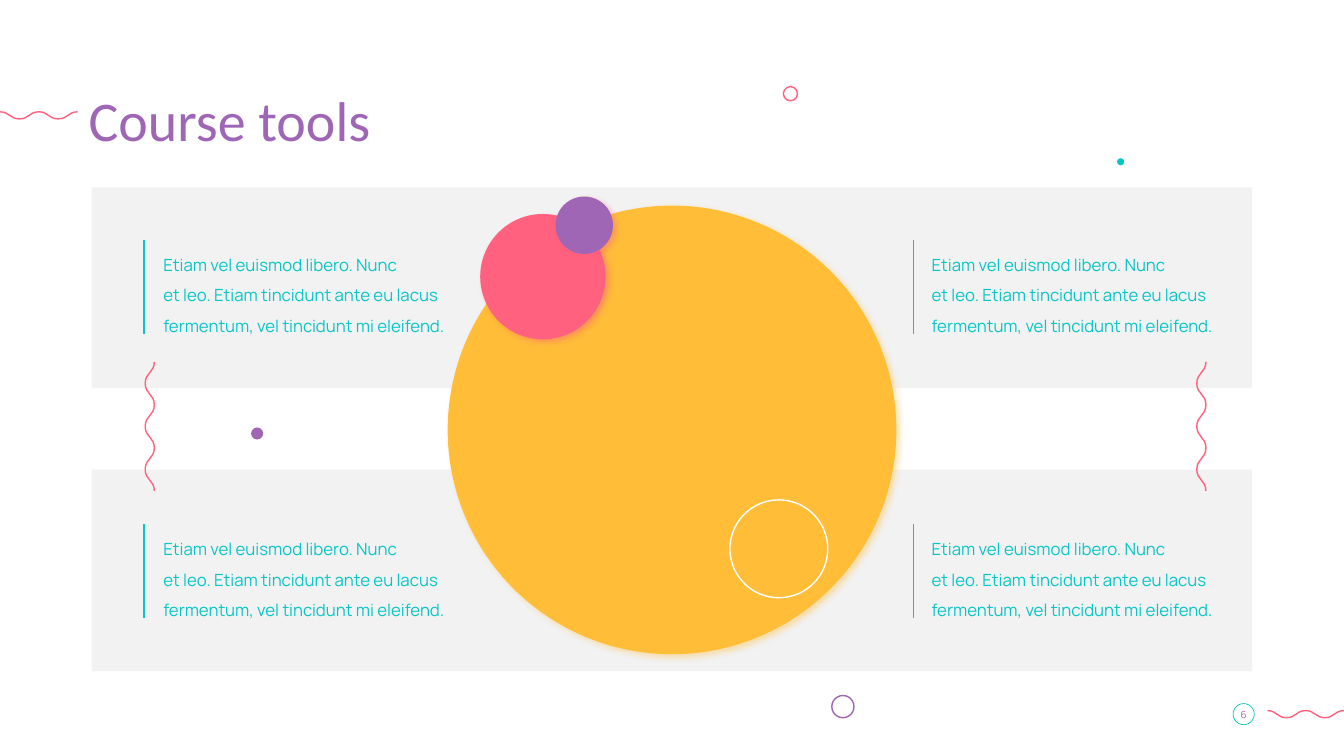
from lxml.etree import SubElement
from pptx import Presentation
from pptx.dml.color import RGBColor
from pptx.enum.shapes import MSO_CONNECTOR, MSO_SHAPE
from pptx.enum.text import MSO_ANCHOR, MSO_AUTO_SIZE, PP_ALIGN
from pptx.oxml.ns import qn
from pptx.util import Inches, Pt

TEAL, PINK, PURPLE = "07C6C7", "FF617F", "9E66B5"
AMBER, GREY, WHITE = "FFBD38", "F2F2F2", "FFFFFF"
BODY = ("Etiam vel euismod libero. Nunc \n"
        "et leo. Etiam tincidunt ante eu lacus "
        "fermentum, vel tincidunt mi eleifend.")


def rgb(code):
    return RGBColor.from_string(code)


def paint(shape, fill=None, line=None, width=1):
    shape.shadow.inherit = False
    if fill:
        shape.fill.solid()
        shape.fill.fore_color.rgb = rgb(fill)
    else:
        shape.fill.background()
    if line:
        shape.line.color.rgb = rgb(line)
        shape.line.width = Pt(width)
    else:
        shape.line.fill.background()


def add_glow(shape, color):
    """Add a soft shadow falling to the lower right."""
    effects = shape._element.spPr.find(qn("a:effectLst"))
    shadow = SubElement(effects, qn("a:outerShdw"), blurRad=str(Pt(4)),
                        dist=str(Pt(3)), dir=str(45 * 60000),
                        algn="tl", rotWithShape="0")
    tint = SubElement(shadow, qn("a:srgbClr"), val=color)
    SubElement(tint, qn("a:alpha"), val="40000")


def add_circle(slide, x, y, size, fill=None, line=None, width=1, glow=None):
    circle = slide.shapes.add_shape(MSO_SHAPE.OVAL, Inches(x), Inches(y),
                                    Inches(size), Inches(size))
    paint(circle, fill, line, width)
    if glow:
        add_glow(circle, glow)


def add_band(slide, x, y, w, h):
    band = slide.shapes.add_shape(MSO_SHAPE.RECTANGLE, Inches(x), Inches(y),
                                  Inches(w), Inches(h))
    paint(band, GREY)


def bend(shape, upright):
    """Turn each straight segment into an S-curve along the wave's run."""
    path = next(shape._element.iter(qn("a:path")))
    start = None
    for step in path:
        end = step[0]
        x, y = int(end.get("x")), int(end.get("y"))
        if start:
            x0, y0 = start
            midx, midy = (x0 + x) // 2, (y0 + y) // 2
            if upright:
                grips = (x0, midy), (x, midy)
            else:
                grips = (midx, y0), (midx, y)
            step.tag = qn("a:cubicBezTo")
            for i, (gx, gy) in enumerate(grips):
                grip = SubElement(step, qn("a:pt"), x=str(gx), y=str(gy))
                step.insert(i, grip)
        start = x, y


def add_wave(slide, x, y, length, depth, halves, upright=False):
    """Draw a wavy line from x, y; a negative depth swings left or up."""
    points = []
    for i in range(halves + 1):
        along, swing = length * i / halves, depth * (i % 2)
        dx, dy = (swing, along) if upright else (along, swing)
        points.append((Inches(x + dx), Inches(y + dy)))
    builder = slide.shapes.build_freeform(*points[0])
    builder.add_line_segments(points[1:], close=False)
    wave = builder.convert_to_shape()
    bend(wave, upright)
    paint(wave, line=PINK)


def add_rule(slide, x, y, height):
    rule = slide.shapes.add_connector(MSO_CONNECTOR.STRAIGHT, Inches(x),
                                      Inches(y), Inches(x), Inches(y + height))
    rule.line.color.rgb = rgb(TEAL)
    rule.line.width = Pt(1)
    SubElement(rule._element.spPr, qn("a:effectLst"))


def add_text(slide, text, x, y, w, h, size, color, font="Manrope",
             spacing=1.0, right=0.1, align=PP_ALIGN.LEFT,
             anchor=MSO_ANCHOR.TOP):
    box = slide.shapes.add_textbox(Inches(x), Inches(y), Inches(w), Inches(h))
    frame = box.text_frame
    frame.word_wrap = True
    frame.auto_size = MSO_AUTO_SIZE.SHAPE_TO_FIT_TEXT
    frame.vertical_anchor = anchor
    frame.margin_left, frame.margin_right = Inches(0), Inches(right)
    para = frame.paragraphs[0]
    para.text = text
    para.alignment = align
    para.line_spacing = spacing
    para.font.name = font
    para.font.size = Pt(size)
    para.font.color.rgb = rgb(color)


def add_footer(slide):
    add_circle(slide, 12.23, 6.98, 0.21, line=TEAL, width=0.5)
    add_wave(slide, 12.57, 7.05, 0.76, 0.07, 4)
    add_text(slide, "6", 12.15, 6.98, 0.37, 0.22, 7, PURPLE, right=0,
             align=PP_ALIGN.CENTER, anchor=MSO_ANCHOR.BOTTOM)


def main():
    deck = Presentation()
    deck.slide_width, deck.slide_height = Inches(13.33), Inches(7.5)
    slide = deck.slides.add_slide(deck.slide_layouts[6])

    add_footer(slide)
    add_wave(slide, 0, 1.11, 0.77, 0.07, 4)
    add_circle(slide, 7.77, 0.86, 0.14, line=PINK)
    add_band(slide, 0.91, 4.66, 11.51, 2)
    add_band(slide, 0.91, 1.86, 11.51, 1.99)
    add_circle(slide, 4.44, 2.04, 4.45, fill=AMBER, glow=AMBER)

    for rule, left in ((1.43, 1.62), (9.06, 9.24)):
        for top in (2.38, 5.2):
            add_text(slide, BODY, left, top, 3.21, 0.93, 12, TEAL,
                     spacing=1.5)
            add_rule(slide, rule, top, 0.93)

    add_circle(slide, 2.49, 4.24, 0.12, fill=PURPLE)
    add_circle(slide, 11.08, 1.57, 0.07, fill=TEAL)
    add_circle(slide, 8.25, 6.9, 0.22, line=PURPLE)
    for edge in (1.53, 11.96):
        add_wave(slide, edge, 3.59, 1.28, -0.09, 6, upright=True)
    add_text(slide, "Course tools", 0.88, 0.87, 11.5, 0.71, 40, PURPLE,
             font="Calibri", spacing=0.9)
    add_circle(slide, 7.24, 4.96, 0.97, line=WHITE)
    add_circle(slide, 4.77, 2.13, 1.23, fill=PINK, line=PINK, glow=PINK)
    add_circle(slide, 5.51, 1.95, 0.57, fill=PURPLE, glow=PINK)

    deck.save("out.pptx")


if __name__ == "__main__":
    main()
